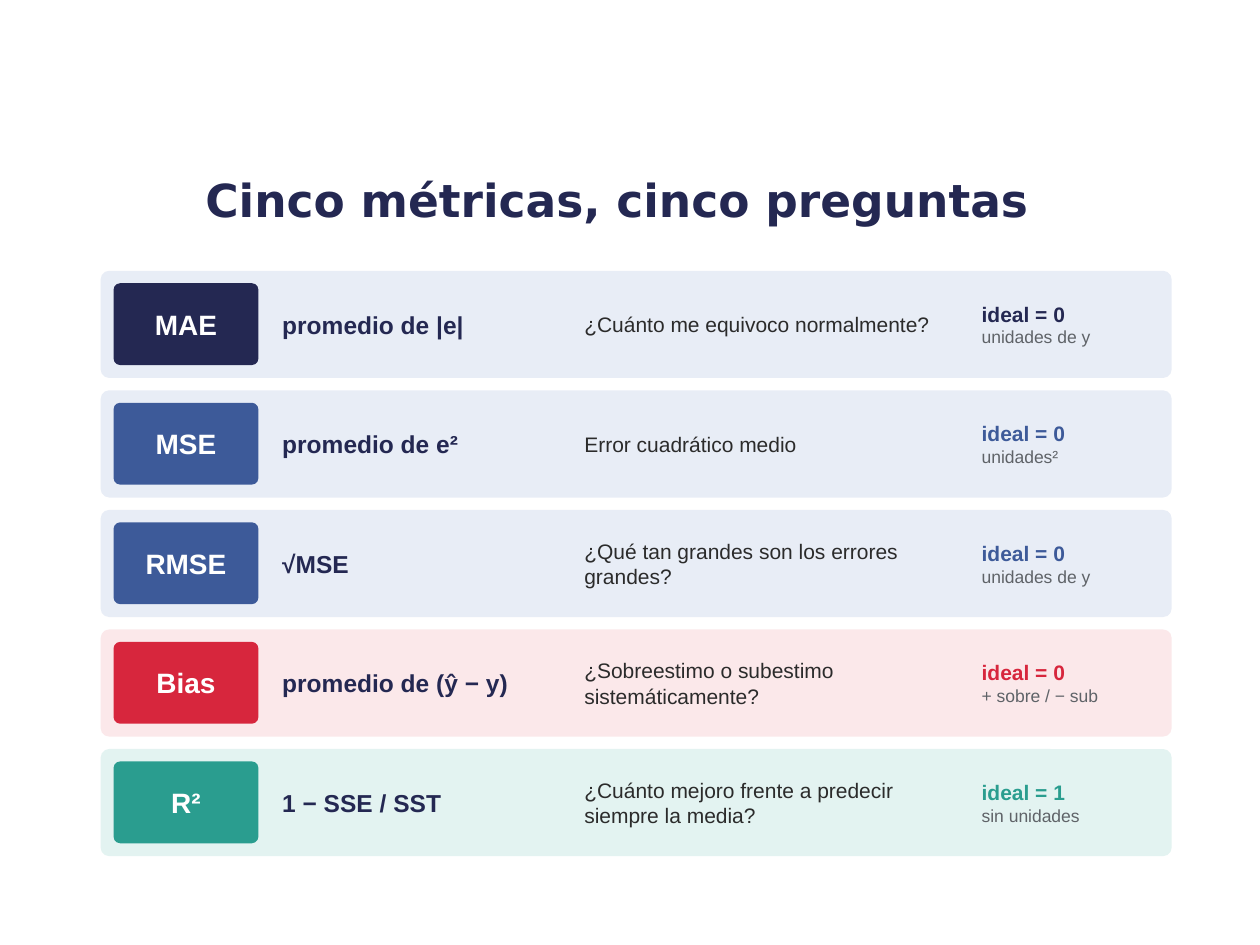
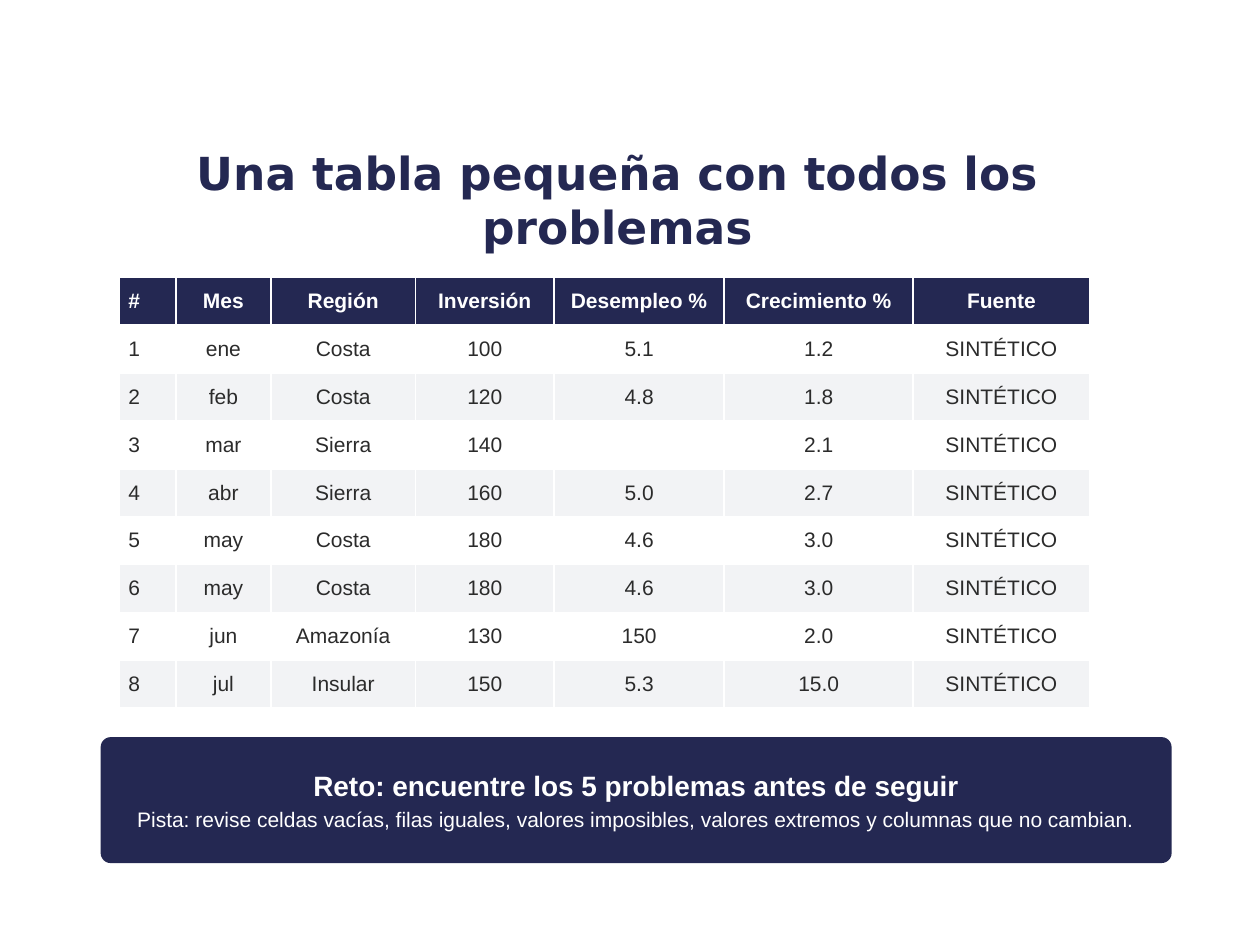
from pptx import Presentation
from pptx.dml.color import RGBColor
from pptx.enum.shapes import MSO_SHAPE
from pptx.enum.text import MSO_ANCHOR, PP_ALIGN
from pptx.util import Cm, Pt

ROUNDED = MSO_SHAPE.ROUNDED_RECTANGLE
MIDDLE = MSO_ANCHOR.MIDDLE
LEFT, CENTER = PP_ALIGN.LEFT, PP_ALIGN.CENTER

NAVY, BLUE, RED, TEAL = "242852", "3D5A99", "D7263D", "2A9D8F"
PALE_BLUE, PALE_RED, PALE_TEAL = "E8EDF6", "FBE8EA", "E3F3F1"
WHITE, STRIPE, INK, GREY = "FFFFFF", "F2F3F5", "2B2B2B", "5F6368"

BAND_LEFT, BAND_WIDTH = 2.03, 21.59


def rgb(color):
    return RGBColor.from_string(color)


class Deck:
    title_font = "DejaVu Sans"
    body_font = "Arial"

    def __init__(self):
        self.prs = Presentation()
        self.prs.slide_width, self.prs.slide_height = Cm(25.4), Cm(19.05)
        self.slide = None

    def add_slide(self, title):
        self.slide = self.prs.slides.add_slide(self.prs.slide_layouts[6])
        self.text(1.91, 3, 21.08, 2.03, [(title, 26, NAVY, True)], align=CENTER,
                  font=self.title_font, margins=(0.25, 0.13))

    def add_lines(self, tf, lines, align=LEFT, after=0, font=body_font):
        for i, (text, size, color, bold) in enumerate(lines):
            p = tf.paragraphs[0] if i == 0 else tf.add_paragraph()
            p.alignment = align
            p.space_after = Pt(after)
            r = p.add_run()
            r.text = text
            r.font.name, r.font.size, r.font.bold = font, Pt(size), bold
            r.font.color.rgb = rgb(color)

    def frame(self, tf, margins):
        tf.word_wrap = True
        tf.vertical_anchor = MIDDLE
        tf.margin_left = tf.margin_right = Cm(margins[0])
        tf.margin_top = tf.margin_bottom = Cm(margins[1])

    def text(self, x, y, w, h, lines, margins=(0.1, 0.1), **style):
        tf = self.slide.shapes.add_textbox(Cm(x), Cm(y), Cm(w), Cm(h)).text_frame
        self.frame(tf, margins)
        self.add_lines(tf, lines, **style)

    def box(self, x, y, w, h, fill, lines=()):
        sp = self.slide.shapes.add_shape(ROUNDED, Cm(x), Cm(y), Cm(w), Cm(h))
        sp.shadow.inherit = False
        sp.adjustments[0] = 0.08
        sp.fill.solid()
        sp.fill.fore_color.rgb = rgb(fill)
        sp.line.fill.background()
        self.frame(sp.text_frame, (0.2, 0.2))
        self.add_lines(sp.text_frame, lines, align=CENTER, after=3)

    def table(self, x, y, h, widths, rows):
        table = self.slide.shapes.add_table(
            len(rows), len(widths), Cm(x), Cm(y), Cm(sum(widths)), Cm(h)).table
        for column, width in zip(table.columns, widths):
            column.width = Cm(width)
        for i, row in enumerate(rows):
            header = i == 0
            fill = NAVY if header else WHITE if i % 2 else STRIPE
            for j, value in enumerate(row):
                cell = table.cell(i, j)
                cell.fill.solid()
                cell.fill.fore_color.rgb = rgb(fill)
                cell.vertical_anchor = MIDDLE
                cell.margin_left = cell.margin_right = Cm(0.18)
                cell.margin_top = cell.margin_bottom = Cm(0.08)
                if value:
                    self.add_lines(cell.text_frame,
                                   [(value, 12, WHITE if header else INK, header)],
                                   align=CENTER if j else LEFT)


def metrics_slide(deck):
    deck.add_slide("Cinco métricas, cinco preguntas")
    metrics = [
        ("MAE", "promedio de |e|", "¿Cuánto me equivoco normalmente?",
         "ideal = 0", "unidades de y", NAVY, PALE_BLUE),
        ("MSE", "promedio de e²", "Error cuadrático medio",
         "ideal = 0", "unidades²", BLUE, PALE_BLUE),
        ("RMSE", "√MSE", "¿Qué tan grandes son los errores grandes?",
         "ideal = 0", "unidades de y", BLUE, PALE_BLUE),
        ("Bias", "promedio de (ŷ − y)", "¿Sobreestimo o subestimo sistemáticamente?",
         "ideal = 0", "+ sobre / − sub", RED, PALE_RED),
        ("R²", "1 − SSE / SST", "¿Cuánto mejoro frente a predecir siempre la media?",
         "ideal = 1", "sin unidades", TEAL, PALE_TEAL),
    ]
    for i, (name, formula, question, ideal, unit, color, pale) in enumerate(metrics):
        y = 5.46 + i * 2.41
        text_y, text_h = y + 0.13, 1.9
        deck.box(BAND_LEFT, y, BAND_WIDTH, 2.16, pale)
        deck.box(2.29, y + 0.25, 2.92, 1.65, color, [(name, 16, WHITE, True)])
        deck.text(5.59, text_y, 6.1, text_h, [(formula, 14, NAVY, True)], after=4)
        deck.text(11.68, text_y, 7.87, text_h, [(question, 12, INK, False)], after=4)
        deck.text(19.69, text_y, 3.81, text_h,
                  [(ideal, 12, color, True), (unit, 10, GREY, False)])


def data_slide(deck):
    deck.add_slide("Una tabla pequeña con todos los problemas")
    header = ("#", "Mes", "Región", "Inversión", "Desempleo %", "Crecimiento %", "Fuente")
    records = [
        ("ene", "Costa", "100", "5.1", "1.2"),
        ("feb", "Costa", "120", "4.8", "1.8"),
        ("mar", "Sierra", "140", "", "2.1"),
        ("abr", "Sierra", "160", "5.0", "2.7"),
        ("may", "Costa", "180", "4.6", "3.0"),
        ("may", "Costa", "180", "4.6", "3.0"),
        ("jun", "Amazonía", "130", "150", "2.0"),
        ("jul", "Insular", "150", "5.3", "15.0"),
    ]
    rows = [(str(n), *record, "SINTÉTICO") for n, record in enumerate(records, 1)]
    deck.table(2.41, 5.59, 8.69, (1.14, 1.91, 2.92, 2.79, 3.43, 3.81, 3.56),
               [header, *rows])
    deck.box(BAND_LEFT, 14.86, BAND_WIDTH, 2.54, NAVY, [
        ("Reto: encuentre los 5 problemas antes de seguir", 16, WHITE, True),
        ("Pista: revise celdas vacías, filas iguales, valores imposibles, "
         "valores extremos y columnas que no cambian.", 12, WHITE, False),
    ])


def main():
    deck = Deck()
    metrics_slide(deck)
    data_slide(deck)
    deck.prs.save("out.pptx")


if __name__ == "__main__":
    main()
